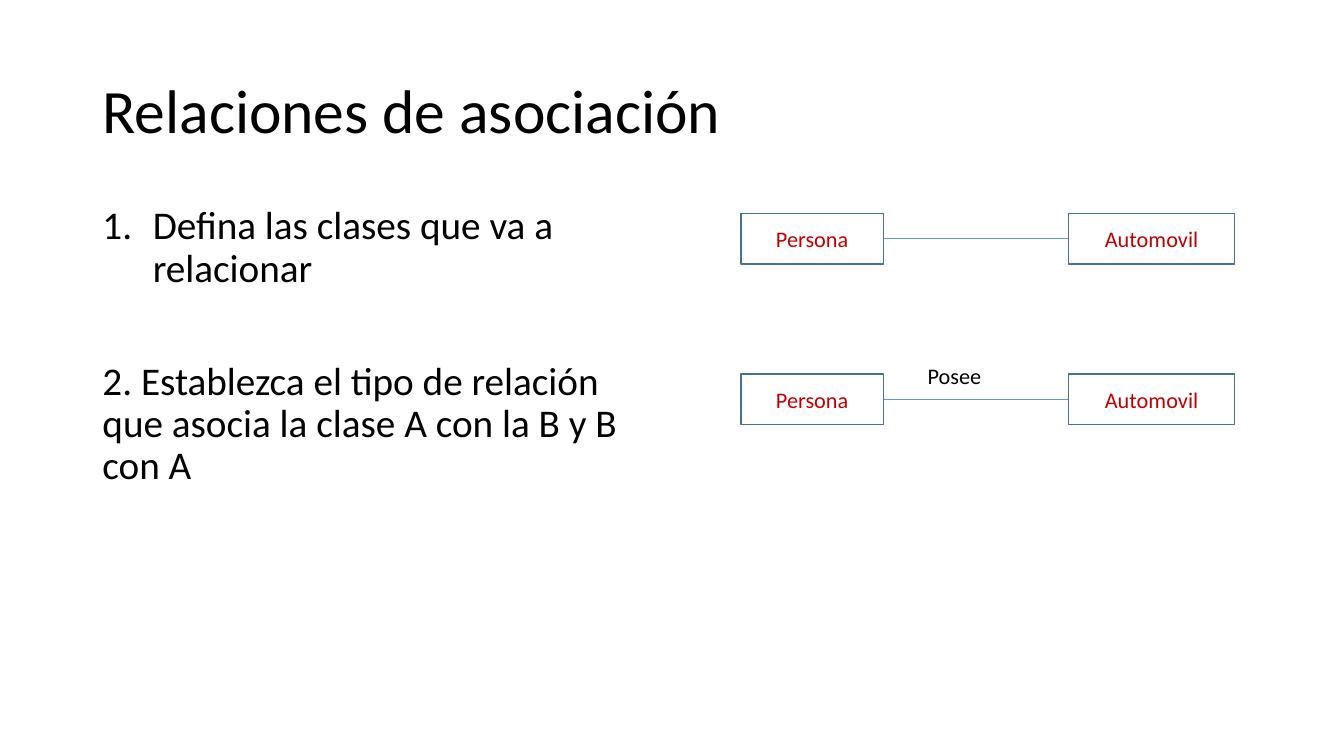
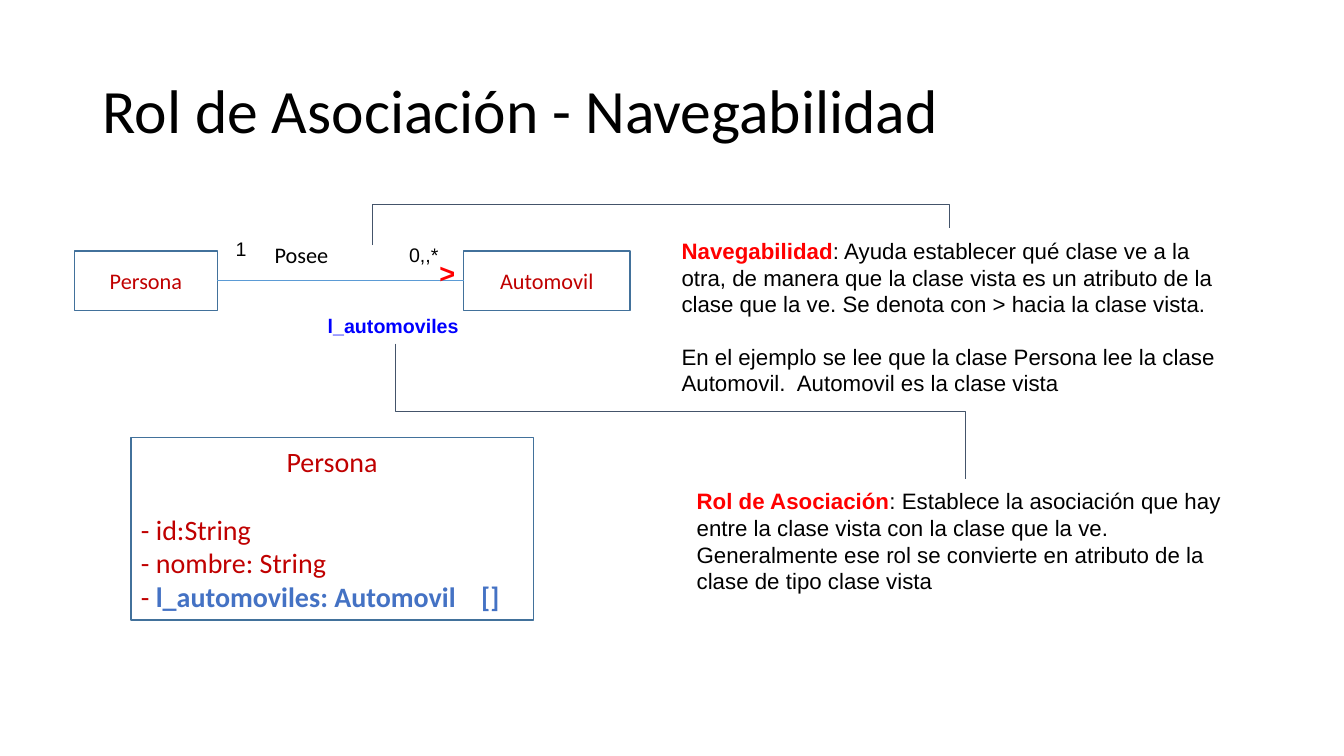
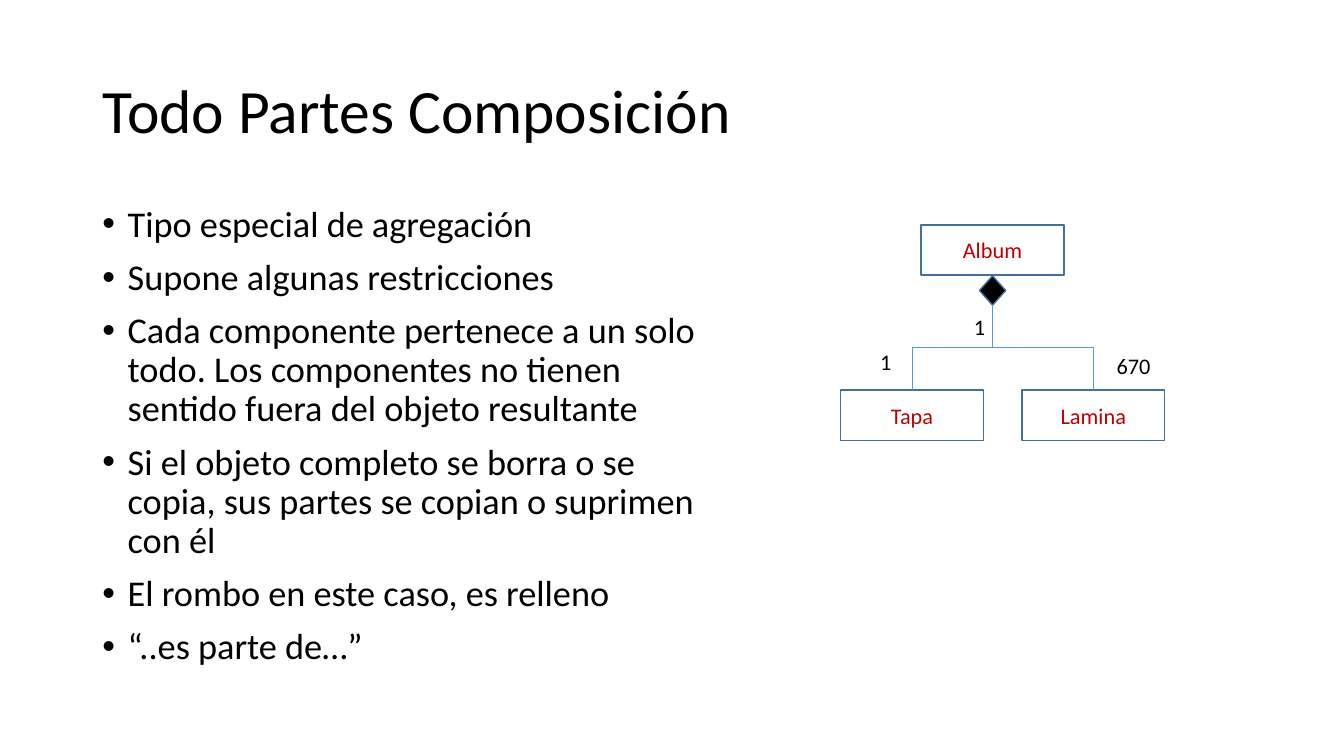
from lxml import etree
from pptx import Presentation
from pptx.dml.color import RGBColor
from pptx.enum.shapes import MSO_CONNECTOR, MSO_SHAPE
from pptx.enum.text import MSO_ANCHOR, MSO_AUTO_SIZE, PP_ALIGN
from pptx.oxml.ns import qn
from pptx.util import Pt

BLACK, WHITE = "000000", "FFFFFF"
DARK_RED, RED, BLUE = "C00000", "FF0000", "0000FF"
BORDER, LINK, CALLOUT, ATTRIBUTE = "42719B", "5B9BD5", "44546A", "4472C4"
colour_of = RGBColor.from_string
LABEL_SIZE = 15.9
CLASS_WIDTH, CLASS_HEIGHT = 102, 36


def add_text(slide, text, left, top, width, height, size=LABEL_SIZE,
             colour=BLACK, font="Calibri", bold=False, margin=3.6, boxed=False):
    """Add a text box, or a bordered class box with centred text if boxed."""
    position = Pt(left), Pt(top), Pt(width), Pt(height)
    if boxed:
        shape = slide.shapes.add_shape(MSO_SHAPE.RECTANGLE, *position)
        shape.shadow.inherit = False
        shape.fill.solid()
        shape.fill.fore_color.rgb = colour_of(WHITE)
        shape.line.color.rgb = colour_of(BORDER)
        shape.line.width = Pt(1)
    else:
        shape = slide.shapes.add_textbox(*position)
    frame = shape.text_frame
    frame.text = text
    frame.word_wrap = True
    frame.vertical_anchor = MSO_ANCHOR.MIDDLE if boxed else MSO_ANCHOR.TOP
    frame.margin_top = frame.margin_bottom = Pt(margin)
    for paragraph in frame.paragraphs:
        paragraph.alignment = PP_ALIGN.CENTER if boxed else PP_ALIGN.LEFT
        for run in paragraph.runs:
            run.font.name, run.font.size, run.font.bold = font, Pt(size), bold
            run.font.color.rgb = colour_of(colour)
    return shape


def add_line(slide, kind, left, top, right, bottom, colour):
    connector = slide.shapes.add_connector(kind, Pt(left), Pt(top), Pt(right), Pt(bottom))
    connector.line.color.rgb = colour_of(colour)
    connector.line.width = Pt(0.75)
    etree.SubElement(connector._element.spPr, qn("a:effectLst"))
    return connector


presentation = Presentation()
presentation.slide_width, presentation.slide_height = Pt(960), Pt(540)
title_and_content, title_only = presentation.slide_layouts[1], presentation.slide_layouts[5]

# Titles
slides = []
for title_text, layout in [
    ("Relaciones de asociación", title_and_content),
    ("Rol de Asociación - Navegabilidad", title_only),
    ("Todo Partes Composición", title_and_content),
]:
    slide = presentation.slides.add_slide(layout)
    slides.append(slide)
    title = slide.shapes.title
    title.left, title.top, title.width, title.height = Pt(66), Pt(28.8), Pt(828), Pt(104.4)
    title.text_frame.text = title_text
    title.text_frame.auto_size = MSO_AUTO_SIZE.NONE
    title.text_frame.vertical_anchor = MSO_ANCHOR.MIDDLE
    paragraph = title.text_frame.paragraphs[0]
    paragraph.alignment = PP_ALIGN.LEFT
    paragraph.line_spacing = 0.9
    paragraph.font.name, paragraph.font.size = "Calibri", Pt(44)
    paragraph.font.color.rgb = colour_of(BLACK)
association_slide, role_slide, composition_slide = slides

# Lists: each item has a bullet kind, an indent, the space before and its text
steps = [
    ("buAutoNum", 36, 0, "Defina las clases que va a relacionar"),
    ("buNone", 0, 50.5, "2. Establezca el tipo de relación que asocia la clase A con la B y B con A"),
]
features = [
    ("buChar", 18, 10 if index else 0, text)
    for index, text in enumerate([
        "Tipo especial de agregación",
        "Supone algunas restricciones",
        "Cada componente pertenece a un solo todo. Los componentes no tienen "
        "sentido fuera del objeto resultante",
        "Si el objeto completo se borra o se copia, sus partes se copian o suprimen con él",
        "El rombo en este caso, es relleno",
        "“..es parte de…”",
    ])
]
bullet_attributes = {"buAutoNum": {"type": "arabicPeriod"}, "buNone": {}, "buChar": {"char": "•"}}
for slide, width, size, items in [
    (association_slide, 401.8, 28, steps),
    (composition_slide, 439.2, 25.9, features),
]:
    body = slide.placeholders[1]
    body.left, body.top, body.width, body.height = Pt(66), Pt(143.5), Pt(width), Pt(342.7)
    body.text_frame.text = "\n".join(item[-1] for item in items)
    body.text_frame.auto_size = MSO_AUTO_SIZE.NONE
    for paragraph, (bullet, indent, space, text) in zip(body.text_frame.paragraphs, items):
        paragraph.line_spacing = 0.9
        paragraph.space_before = Pt(space)
        paragraph.font.name, paragraph.font.size = "Calibri", Pt(size)
        paragraph.font.color.rgb = colour_of(BLACK)
        properties = paragraph._p.get_or_add_pPr()
        properties.set("marL", str(Pt(indent)))
        properties.set("indent", str(-Pt(indent)))
        bullet_element = etree.Element(qn("a:" + bullet), bullet_attributes[bullet])
        properties.insert_element_before(bullet_element, "a:tabLst", "a:defRPr", "a:extLst")

# Persona and Automovil, joined by a line
for slide, person_left, car_left, top, height in [
    (association_slide, 529.2, 763.2, 152.6, CLASS_HEIGHT),
    (association_slide, 529.2, 763.2, 267.1, CLASS_HEIGHT),
    (role_slide, 53.3, 331.2, 179.3, 42.5),
]:
    person = add_text(slide, "Persona", person_left, top, CLASS_WIDTH, height,
                      colour=DARK_RED, boxed=True)
    car = add_text(slide, "Automovil", car_left, top, 118.8, height,
                   colour=DARK_RED, boxed=True)
    middle = top + height / 2
    link = add_line(slide, MSO_CONNECTOR.STRAIGHT, person_left + CLASS_WIDTH, middle,
                    car_left, middle, LINK)
    link.begin_connect(person, 3)
    link.end_connect(car, 1)

# Album made of Tapa and Lamina
for text, left, top in [("Album", 658, 160.6), ("Tapa", 600.5, 278.6), ("Lamina", 730, 278.6)]:
    add_text(composition_slide, text, left, top, CLASS_WIDTH, CLASS_HEIGHT,
             colour=DARK_RED, boxed=True)
diamond = composition_slide.shapes.add_shape(
    MSO_SHAPE.FLOWCHART_DECISION, Pt(699.6), Pt(197), Pt(18.8), Pt(21))
diamond.shadow.inherit = False
diamond.fill.solid()
diamond.fill.fore_color.rgb = colour_of(BLACK)
diamond.line.color.rgb = colour_of(BORDER)
diamond.line.width = Pt(1)

# Elbows that leave and arrive vertically: the box is turned a quarter
for slide, start_x, start_y, end_x, end_y, bend_y, colour in [
    (role_slide, 266.4, 175, 678.2, 162.7, 146.2, CALLOUT),
    (role_slide, 282.2, 245.5, 689.8, 342, 293.8, CALLOUT),
    (composition_slide, 709, 218, 651.5, 278.6, 248.3, LINK),
    (composition_slide, 709, 218, 781, 278.6, 248.3, LINK),
]:
    half_run, half_rise = abs(end_y - start_y) / 2, abs(end_x - start_x) / 2
    center_x, center_y = (start_x + end_x) / 2, (start_y + end_y) / 2
    elbow = add_line(slide, MSO_CONNECTOR.ELBOW, center_x - half_run, center_y - half_rise,
                     center_x + half_run, center_y + half_rise, colour)
    to_right, downwards = end_x > start_x, end_y > start_y
    transform = elbow._element.spPr.find(qn("a:xfrm"))
    transform.set("rot", str((270 if to_right else 90) * 60000))
    if to_right and downwards:
        transform.set("flipH", "1")
    bend = round((bend_y - start_y) / (end_y - start_y) * 100000)
    geometry = elbow._element.spPr.find(qn("a:prstGeom"))
    adjustments = geometry.find(qn("a:avLst"))
    if adjustments is None:
        adjustments = etree.SubElement(geometry, qn("a:avLst"))
    etree.SubElement(adjustments, qn("a:gd"), {"name": "adj1", "fmla": f"val {bend}"})

# Relation names and multiplicities
for slide, text, left, top, width in [
    (association_slide, "Posee", 655.5, 255.2, 63.4),
    (role_slide, "Posee", 189, 168.8, 63.4),
    (composition_slide, "1", 688.5, 220, 24),
    (composition_slide, "1", 621.5, 245.5, 24),
    (composition_slide, "670", 790.5, 248.4, 40),
]:
    add_text(slide, text, left, top, width, 26)
add_text(role_slide, "1", 161.3, 165.6, 24, 24.5, size=14, font="Arial")
add_text(role_slide, "0,,*", 285.1, 169.9, 40, 24.5, size=14, font="Arial")
add_text(role_slide, ">", 306.7, 176, 29.5, 33.1, size=19.4, colour=RED,
         font="Arial", bold=True, margin=7.2)
add_text(role_slide, "l_automoviles", 227, 217.2, 112, 27.4, size=14, colour=BLUE,
         font="Arial", bold=True, margin=7.2)

# Explanations: a red term, its definition and further paragraphs
for left, top, term, definition, example in [
    (479.7, 162.2, "Navegabilidad",
     ": Ayuda establecer qué clase ve a la otra, de manera que la clase vista es un "
     "atributo de la clase que la ve. Se denota con > hacia la clase vista.",
     "En el ejemplo se lee que la clase Persona lee la clase Automovil.  "
     "Automovil es la clase vista"),
    (490.5, 341, "Rol de Asociación",
     ": Establece la asociación que hay entre la clase vista con la clase que la ve. "
     "Generalmente ese rol se convierte en atributo de la clase de tipo clase vista", ""),
]:
    text = f"{term}\n{example}" if example else term
    note = add_text(role_slide, text, left, top, 396.7, 116.6, font="Arial", margin=7.2)
    first, *others = note.text_frame.paragraphs
    first.runs[0].font.bold = True
    first.runs[0].font.color.rgb = colour_of(RED)
    run = first.add_run()
    run.text = definition
    run.font.name, run.font.size = "Arial", Pt(LABEL_SIZE)
    run.font.color.rgb = colour_of(BLACK)
    for paragraph in others:
        paragraph.space_before = Pt(18.3)

# Class Persona with its attributes
person_class = add_text(role_slide, "Persona\n- id:String\n- nombre: String\n- ",
                        93.6, 312.5, 287.3, 130.3, size=20, colour=DARK_RED, boxed=True)
heading, *attributes = person_class.text_frame.paragraphs
for paragraph in attributes:
    paragraph.alignment = PP_ALIGN.LEFT
attributes[0].space_before = Pt(24.4)
run = attributes[-1].add_run()
run.text = "l_automoviles: Automovil\t[]"
run.font.name, run.font.size, run.font.bold = "Calibri", Pt(20), True
run.font.color.rgb = colour_of(ATTRIBUTE)
tab_stops = etree.SubElement(attributes[-1]._p.get_or_add_pPr(), qn("a:tabLst"))
etree.SubElement(tab_stops, qn("a:tab"), {"pos": str(Pt(243)), "algn": "l"})

presentation.save("out.pptx")
